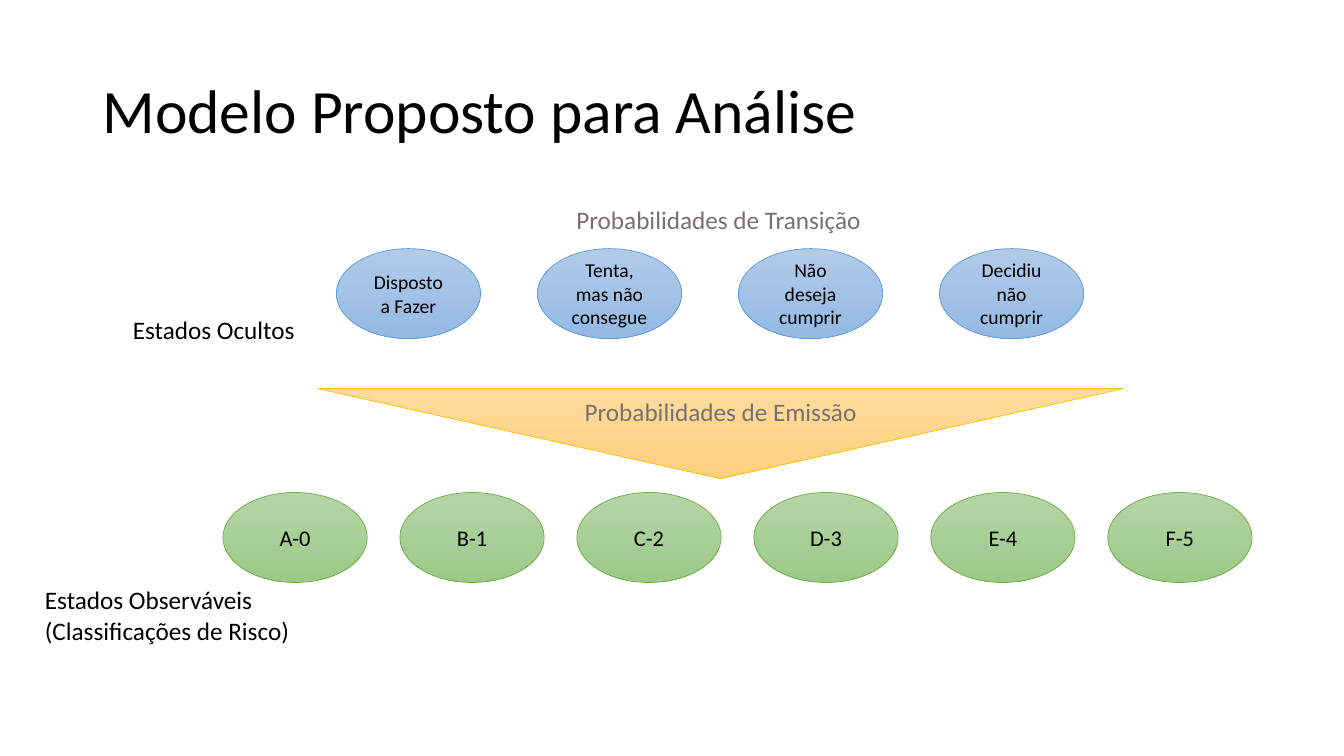
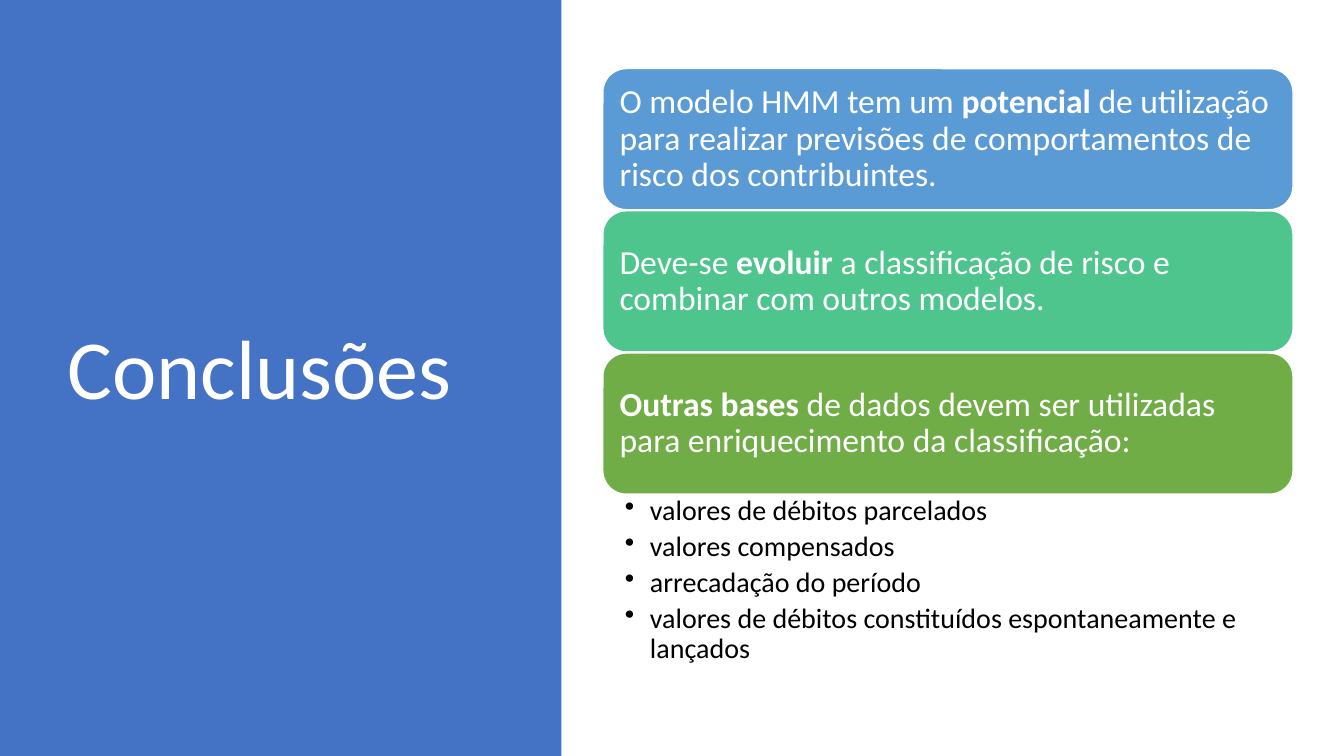
"""Builds two slides: the proposed hidden Markov model and the conclusions."""
import pptx
import pptx.dml.color
import pptx.enum.shapes
import pptx.enum.text
import pptx.oxml
import pptx.oxml.ns
import pptx.util

Pt = pptx.util.Pt
SHAPE = pptx.enum.shapes.MSO_SHAPE
ALIGN = pptx.enum.text.PP_ALIGN
ANCHOR = pptx.enum.text.MSO_ANCHOR

FONT = "Calibri"
COLORS = {
    "black": "000000", "white": "FFFFFF", "gray": "767171",
    "band": "4472C4", "blue": "5B9BD5", "teal": "4DC58D", "green": "70AD47",
    "gold": "FFC000",
    "blue_top": "B1CBE9", "blue_bottom": "93B9E4",
    "green_top": "B5D5A7", "green_bottom": "9CC987",
    "gold_top": "FFDB9E", "gold_bottom": "FFD07C",
}

MODEL_TITLE = "Modelo Proposto para Análise"
STATE_ROWS = [
    {"names": ["Disposto a Fazer", "Tenta, mas não consegue",
               "Não deseja cumprir", "Decidiu não cumprir"],
     "left": 240.3, "top": 177.6, "pitch": 143.6, "size": 14, "color": "blue"},
    {"names": ["A-0", "B-1", "C-2", "D-3", "E-4", "F-5"],
     "left": 159.3, "top": 351.8, "pitch": 126.4, "size": 16, "color": "green"},
]
STATE_SIZE = (103, 64.3)
EMISSION = "Probabilidades de Emissão"
LABELS = [
    ("Probabilidades de Transição", (404.6, 142.6, 237, 51), "gray"),
    ("Estados Ocultos", (87.8, 221, 132.5, 29), "black"),
    ("Estados Observáveis\n(Classificações de Risco)", (25, 414, 200, 51), "black"),
]

CONCLUSIONS_TITLE = "Conclusões"
CONCLUSIONS = [
    ("blue", [("O modelo HMM tem um ", False), ("potencial ", True),
              ("de utilização para realizar previsões de comportamentos de "
               "risco dos contribuintes.", False)]),
    ("teal", [("Deve-se ", False), ("evoluir ", True),
              ("a classificação de risco e combinar com outros modelos.", False)]),
    ("green", [("Outras bases ", True),
               ("de dados devem ser utilizadas para enriquecimento da "
                "classificação:", False)]),
]
DATA_BASES = [
    "valores de débitos parcelados",
    "valores compensados",
    "arrecadação do período",
    "valores de débitos constituídos espontaneamente e lançados",
]
CARD_LEFT, CARD_TOP, CARD_WIDTH, CARD_HEIGHT, CARD_PITCH = 430.6, 49, 493, 100.8, 101.6


def rgb(name):
    return pptx.dml.color.RGBColor.from_string(COLORS[name])


def format_text(text_frame, size, color, align=ALIGN.LEFT, anchor=ANCHOR.TOP, spacing=1.0):
    text_frame.word_wrap = True
    text_frame.auto_size = pptx.enum.text.MSO_AUTO_SIZE.NONE
    text_frame.vertical_anchor = anchor
    for paragraph in text_frame.paragraphs:
        paragraph.alignment = align
        paragraph.line_spacing = spacing
        for run in paragraph.runs:
            run.font.name = FONT
            run.font.size = Pt(size)
            run.font.color.rgb = rgb(color)


def add_titled_slide(presentation, title_text, box, size, color):
    slide = presentation.slides.add_slide(presentation.slide_layouts[5])
    title = slide.shapes.title
    title.left, title.top, title.width, title.height = map(Pt, box)
    title.text_frame.text = title_text
    format_text(title.text_frame, size, color, anchor=ANCHOR.MIDDLE, spacing=0.9)
    return slide


def add_box(slide, kind, box, fill, line=None, line_width=1):
    shape = slide.shapes.add_shape(kind, *map(Pt, box))
    shape.shadow.inherit = False
    shape.fill.solid()
    shape.fill.fore_color.rgb = rgb(fill)
    if line:
        shape.line.color.rgb = rgb(line)
        shape.line.width = Pt(line_width)
    else:
        shape.line.fill.background()
    return shape


def add_gradient_box(slide, kind, box, color, text, size, text_color):
    shape = add_box(slide, kind, box, color, color, 0.5)
    shape.fill.gradient()
    shape.fill.gradient_angle = 270
    for stop, part in zip(shape.fill.gradient_stops, ("top", "bottom")):
        stop.color.rgb = rgb(f"{color}_{part}")
    shape.text_frame.text = text
    format_text(shape.text_frame, size, text_color, ALIGN.CENTER, ANCHOR.MIDDLE)


def add_bullet(paragraph):
    properties = paragraph._p.get_or_add_pPr()
    properties.set("marL", str(Pt(18)))
    properties.set("indent", str(-Pt(18)))
    properties.append(pptx.oxml.parse_xml(
        f'<a:buChar {pptx.oxml.ns.nsdecls("a")} char="•"/>'))


def build_model(presentation):
    slide = add_titled_slide(presentation, MODEL_TITLE, (66, 28.8, 828, 104.4), 44, "black")
    for row in STATE_ROWS:
        for index, name in enumerate(row["names"]):
            box = (row["left"] + index * row["pitch"], row["top"], *STATE_SIZE)
            add_gradient_box(slide, SHAPE.OVAL, box, row["color"], name, row["size"], "black")
    add_gradient_box(slide, SHAPE.FLOWCHART_MERGE, (227, 277.6, 575.5, 64.3),
                     "gold", EMISSION, 18, "gray")
    for text, box, color in LABELS:
        label = slide.shapes.add_textbox(*map(Pt, box))
        label.text_frame.text = text
        format_text(label.text_frame, 18, color)


def build_conclusions(presentation):
    slide = add_titled_slide(presentation, CONCLUSIONS_TITLE, (41, 49, 299.5, 433.4), 60, "white")
    band = add_box(slide, SHAPE.RECTANGLE, (0, 0, 401, 540), "band")
    slide.shapes.title._element.addprevious(band._element)

    for index, (color, parts) in enumerate(CONCLUSIONS):
        box = (CARD_LEFT, CARD_TOP + index * CARD_PITCH, CARD_WIDTH, CARD_HEIGHT)
        card = add_box(slide, SHAPE.ROUNDED_RECTANGLE, box, color, "white")
        text_frame = card.text_frame
        for text, bold in parts:
            run = text_frame.paragraphs[0].add_run()
            run.text = text
            run.font.bold = bold
        format_text(text_frame, 24, "white", anchor=ANCHOR.MIDDLE, spacing=0.9)

    list_top = CARD_TOP + len(CONCLUSIONS) * CARD_PITCH - 1
    bases = slide.shapes.add_textbox(*map(Pt, (CARD_LEFT, list_top, CARD_WIDTH, 129.6)))
    text_frame = bases.text_frame
    text_frame.margin_left, text_frame.margin_right = Pt(15.7), Pt(11.5)
    text_frame.margin_top = text_frame.margin_bottom = Pt(2)
    text_frame.text = "\n".join(DATA_BASES)
    for paragraph in text_frame.paragraphs:
        add_bullet(paragraph)
        paragraph.space_after = Pt(4)
    format_text(text_frame, 20, "black", spacing=0.9)


def main():
    presentation = pptx.Presentation()
    presentation.slide_width, presentation.slide_height = Pt(960), Pt(540)
    build_model(presentation)
    build_conclusions(presentation)
    presentation.save("out.pptx")


if __name__ == "__main__":
    main()
